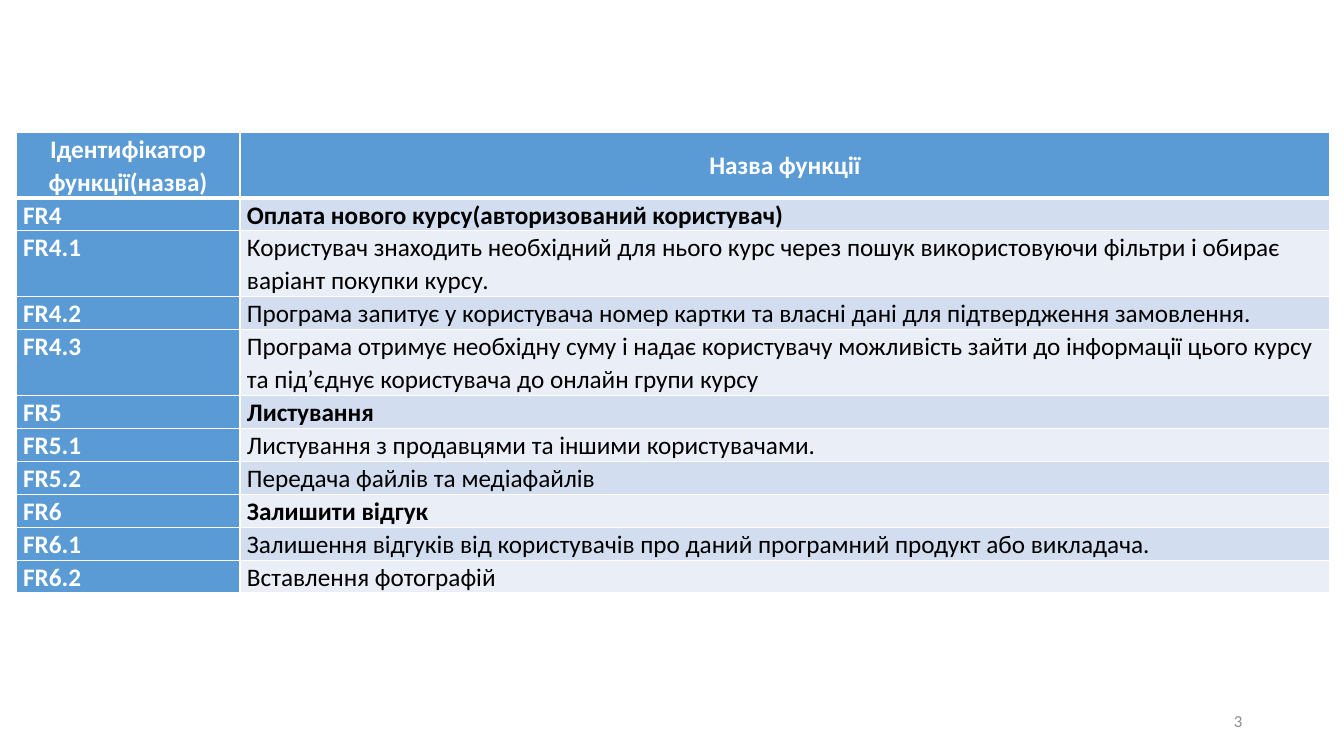
"""Build a slide with the table of functional requirements FR4 to FR6."""
from dataclasses import dataclass

from lxml.etree import SubElement
from pptx import Presentation
from pptx.dml.color import RGBColor
from pptx.enum.text import MSO_ANCHOR, PP_ALIGN
from pptx.oxml.ns import qn
from pptx.util import Inches, Pt


@dataclass(frozen=True)
class Theme:
    font: str = "Calibri"
    table_size: int = 18
    number_size: int = 12
    white: str = "FFFFFF"
    black: str = "000000"
    gray: str = "8C8C8C"
    accent: str = "5B9BD5"
    bands: tuple = ("EAEFF7", "D2DEEF")


theme = Theme()


def style_paragraph(para, size, color, bold=False, align=PP_ALIGN.LEFT):
    para.alignment = align
    para.font.name = theme.font
    para.font.size = Pt(size)
    para.font.bold = bold
    para.font.color.rgb = RGBColor.from_string(color)


def add_border(cell, side, width):
    line = SubElement(cell._tc.get_or_add_tcPr(), qn(f"a:{side}"), w=str(Pt(width)))
    fill = SubElement(line, qn("a:solidFill"))
    SubElement(fill, qn("a:srgbClr"), val=theme.white)


requirements = [
    ("Ідентифікатор функції(назва)", "Назва функції"),
    ("FR4", "Оплата нового курсу(авторизований користувач)"),
    ("FR4.1", "Користувач знаходить необхідний для нього курс через пошук "
              "використовуючи фільтри і обирає варіант покупки курсу."),
    ("FR4.2", "Програма запитує у користувача номер картки та власні дані "
              "для підтвердження замовлення."),
    ("FR4.3", "Програма отримує необхідну суму і надає користувачу можливість "
              "зайти до інформації цього курсу та під’єднує користувача "
              "до онлайн групи курсу"),
    ("FR5", "Листування"),
    ("FR5.1", "Листування з продавцями та іншими користувачами."),
    ("FR5.2", "Передача файлів та медіафайлів"),
    ("FR6", "Залишити відгук"),
    ("FR6.1", "Залишення відгуків від користувачів про даний програмний "
              "продукт або викладача."),
    ("FR6.2", "Вставлення фотографій"),
]
two_line_rows = (0, 2, 4)

deck = Presentation()
deck.slide_width = Inches(13.33)
deck.slide_height = Inches(7.5)
page = deck.slides.add_slide(deck.slide_layouts[6])

table = page.shapes.add_table(
    len(requirements), 2, Inches(0.16), Inches(1.31), Inches(13.03), Inches(4.49)
).table
table.first_col = True
for column, width in zip(table.columns, (2.22, 10.81)):
    column.width = Inches(width)

for row_index, texts in enumerate(requirements):
    is_header = row_index == 0
    is_group = "." not in texts[0]
    table.rows[row_index].height = Inches(0.65 if row_index in two_line_rows else 0.32)
    for column_index, text in enumerate(texts):
        cell = table.cell(row_index, column_index)
        is_accent = is_header or column_index == 0
        cell.text = text
        cell.margin_left = cell.margin_right = Inches(0.03 if is_header else 0.07)
        cell.margin_top = cell.margin_bottom = 0
        cell.vertical_anchor = MSO_ANCHOR.MIDDLE if is_header else MSO_ANCHOR.TOP
        para = cell.text_frame.paragraphs[0]
        para.line_spacing = 1.07
        style_paragraph(
            para,
            theme.table_size,
            theme.white if is_accent else theme.black,
            bold=is_accent or is_group,
            align=PP_ALIGN.CENTER if is_header else PP_ALIGN.LEFT,
        )
        for side in ("lnL", "lnR", "lnT", "lnB"):
            meets_header = (row_index, side) in ((0, "lnB"), (1, "lnT"))
            add_border(cell, side, 3 if meets_header else 1)
        cell.fill.solid()
        fill_color = theme.accent if is_accent else theme.bands[row_index % 2]
        cell.fill.fore_color.rgb = RGBColor.from_string(fill_color)

number_box = page.shapes.add_textbox(Inches(9.42), Inches(6.95), Inches(3), Inches(0.4))
number_frame = number_box.text_frame
number_frame.word_wrap = True
number_frame.vertical_anchor = MSO_ANCHOR.MIDDLE
number_frame.text = "3"
style_paragraph(
    number_frame.paragraphs[0], theme.number_size, theme.gray, align=PP_ALIGN.RIGHT
)

deck.save("out.pptx")
